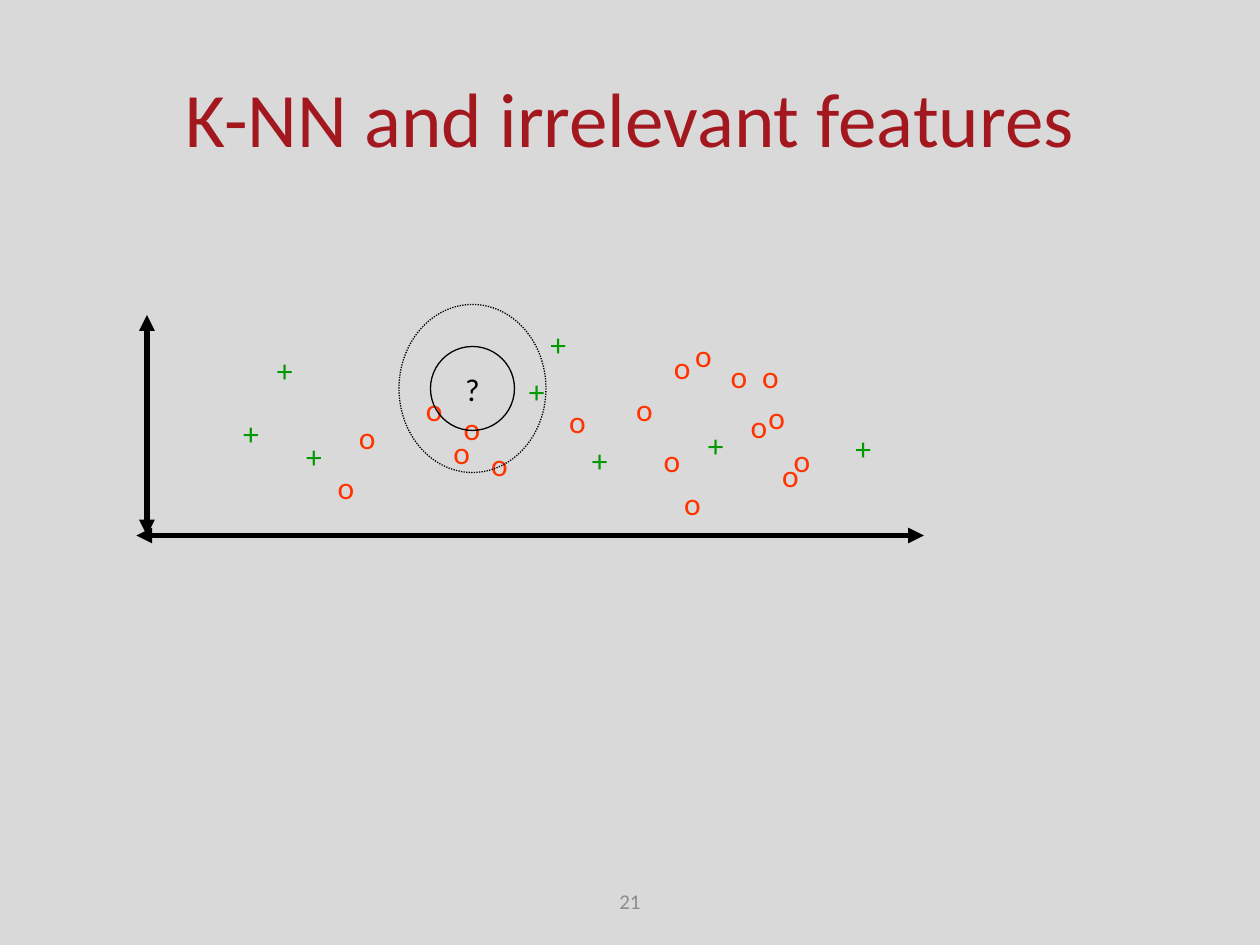
import dataclasses
import typing

import lxml.etree
import pptx
import pptx.dml.color
import pptx.enum.dml
import pptx.enum.shapes
import pptx.enum.text
import pptx.oxml.ns
import pptx.util

Pt = pptx.util.Pt
Align = pptx.enum.text.PP_ALIGN
Anchor = pptx.enum.text.MSO_ANCHOR


@dataclasses.dataclass(frozen=True)
class Theme:
    font: str = "Calibri"
    background: str = "D9D9D9"
    title: str = "A3171E"
    ink: str = "000000"
    number: str = "8C8C8C"
    positive: str = "009900"
    negative: str = "FF3300"
    title_size: float = 44
    mark_size: float = 18
    number_size: float = 12
    axis_width: float = 3
    ring_width: float = 0.75


class Point(typing.NamedTuple):
    x: float
    y: float


@dataclasses.dataclass(frozen=True)
class SampleClass:
    symbol: str
    color: str
    width: float
    points: tuple[Point, ...]


@dataclasses.dataclass(frozen=True)
class Axis:
    start: Point
    end: Point


@dataclasses.dataclass(frozen=True)
class Ring:
    width: float
    height: float
    label: str = ""
    dotted: bool = False


THEME = Theme()
QUERY = Point(270, 222)
MARK_HEIGHT = 36

SAMPLE_CLASSES = (
    SampleClass("+", THEME.positive, 28.8, (
        Point(131.8, 233.3), Point(151.2, 197.3), Point(167.8, 246.2),
        Point(295.2, 208.8), Point(307.4, 182.2), Point(331.2, 248.4),
        Point(397.4, 239.8), Point(481.7, 241.9),
    )),
    SampleClass("o", THEME.negative, 28.1, (
        Point(185.8, 264.2), Point(198, 235.4), Point(236.2, 219.6),
        Point(356.4, 219.6), Point(372.2, 248.4), Point(378, 195.1),
        Point(446.4, 248.4), Point(439.9, 257), Point(432, 223.9),
        Point(410.4, 200.2), Point(252, 244.1), Point(318.2, 226.1),
        Point(257.8, 230.4), Point(273.6, 250.6), Point(383.8, 272.9),
        Point(390.2, 188.6), Point(421.9, 229), Point(428.4, 200.2),
    )),
)
AXES = (
    Axis(Point(78, 306), Point(528, 306)),
    Axis(Point(84, 306), Point(84, 180)),
)
RINGS = (Ring(48, 48, label="?"), Ring(84, 96, dotted=True))


def rgb(color: str) -> pptx.dml.color.RGBColor:
    return pptx.dml.color.RGBColor.from_string(color)


def place(box, left: float, top: float, width: float, height: float) -> None:
    box.left, box.top = Pt(left), Pt(top)
    box.width, box.height = Pt(width), Pt(height)


def write(box, text: str, *, size: float, color: str, align=Align.LEFT,
          anchor=Anchor.TOP, wrap: bool = True) -> None:
    frame = box.text_frame
    frame.word_wrap = wrap
    frame.auto_size = pptx.enum.text.MSO_AUTO_SIZE.NONE
    frame.vertical_anchor = anchor
    para = frame.paragraphs[0]
    para.alignment = align
    span = para.add_run()
    span.text = text
    span.font.name = THEME.font
    span.font.size = Pt(size)
    span.font.color.rgb = rgb(color)


def add_text(page, left: float, top: float, width: float, height: float,
             text: str, **style) -> None:
    box = page.shapes.add_textbox(Pt(left), Pt(top), Pt(width), Pt(height))
    write(box, text, **style)


def draw_samples(page, samples: SampleClass) -> None:
    for point in samples.points:
        add_text(page, point.x, point.y, samples.width, MARK_HEIGHT, samples.symbol,
                 size=THEME.mark_size, color=samples.color)


def draw_axis(page, axis: Axis) -> None:
    arrow = page.shapes.add_connector(
        pptx.enum.shapes.MSO_CONNECTOR.STRAIGHT,
        Pt(axis.start.x), Pt(axis.start.y), Pt(axis.end.x), Pt(axis.end.y))
    arrow.line.color.rgb = rgb(THEME.ink)
    arrow.line.width = Pt(THEME.axis_width)
    qn = pptx.oxml.ns.qn
    properties = arrow._element.spPr
    outline = properties.find(qn("a:ln"))
    for end in ("a:headEnd", "a:tailEnd"):
        lxml.etree.SubElement(outline, qn(end), type="triangle")
    lxml.etree.SubElement(properties, qn("a:effectLst"))


def draw_ring(page, ring: Ring) -> None:
    oval = page.shapes.add_shape(
        pptx.enum.shapes.MSO_SHAPE.OVAL,
        Pt(QUERY.x - ring.width / 2), Pt(QUERY.y - ring.height / 2),
        Pt(ring.width), Pt(ring.height))
    oval.shadow.inherit = False
    oval.fill.background()
    oval.line.color.rgb = rgb(THEME.ink)
    oval.line.width = Pt(THEME.ring_width)
    if ring.dotted:
        oval.line.dash_style = pptx.enum.dml.MSO_LINE.ROUND_DOT
    if ring.label:
        write(oval, ring.label, size=THEME.mark_size, color=THEME.ink,
              align=Align.CENTER, anchor=Anchor.MIDDLE, wrap=False)


def main() -> None:
    deck = pptx.Presentation()
    deck.slide_width, deck.slide_height = Pt(720), Pt(540)
    page = deck.slides.add_slide(deck.slide_layouts.get_by_name("Title Only"))
    page.background.fill.solid()
    page.background.fill.fore_color.rgb = rgb(THEME.background)

    title = page.shapes.title
    place(title, 36, 21.6, 648, 90)
    write(title, "K-NN and irrelevant features", size=THEME.title_size,
          color=THEME.title, align=Align.CENTER, anchor=Anchor.MIDDLE)
    add_text(page, 246, 500.5, 228, 28.8, "21", size=THEME.number_size,
             color=THEME.number, align=Align.CENTER, anchor=Anchor.MIDDLE)

    for axis in AXES:
        draw_axis(page, axis)
    for samples in SAMPLE_CLASSES:
        draw_samples(page, samples)
    for ring in RINGS:
        draw_ring(page, ring)
    deck.save("out.pptx")


if __name__ == "__main__":
    main()
